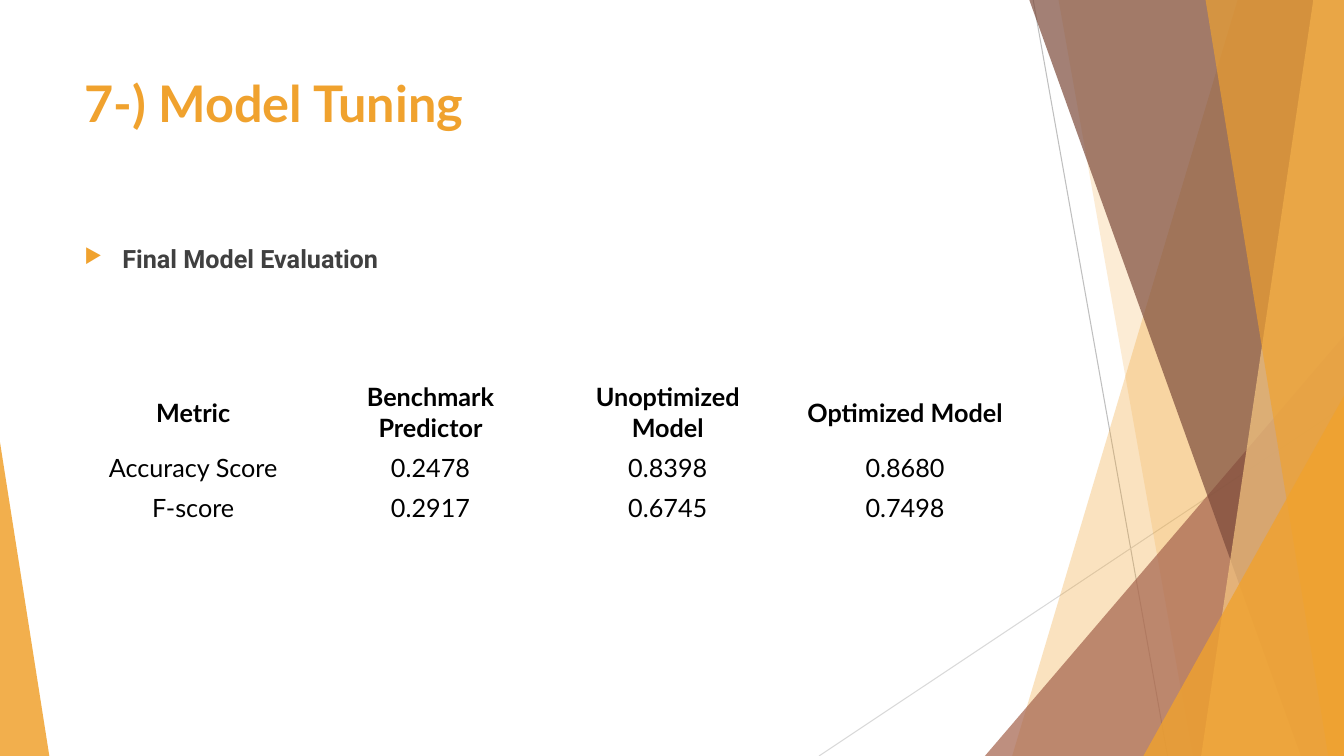
import pptx
import pptx.dml.color
import pptx.enum.shapes
import pptx.enum.text
import pptx.oxml
import pptx.oxml.ns
import pptx.util

RGBColor = pptx.dml.color.RGBColor
ORANGE = RGBColor(0xF0, 0xA2, 0x2E)
PALE_ORANGE = RGBColor(0xF6, 0xC7, 0x82)
RUST = RGBColor(0xA5, 0x64, 0x4E)
BROWN = RGBColor(0x7C, 0x4B, 0x3B)
GRAY = RGBColor(0xBF, 0xBF, 0xBF)
LIGHT_GRAY = RGBColor(0xD9, 0xD9, 0xD9)
DARK_GRAY = RGBColor(0x40, 0x40, 0x40)
BLACK = RGBColor(0, 0, 0)
WHITE = RGBColor(0xFF, 0xFF, 0xFF)

EMU_PER_PX = 9525
WIDTH, HEIGHT = 1280, 720
MARGIN = 71
COLUMN_WIDTH = 226
HEADER_HEIGHT, ROW_HEIGHT = 67, 38

SCORES = [
    ["Metric", "Benchmark Predictor", "Unoptimized Model", "Optimized Model"],
    ["Accuracy Score", "0.2478", "0.8398", "0.8680"],
    ["F-score", "0.2917", "0.6745", "0.7498"],
]


def px(*lengths):
    return [pptx.util.Emu(length * EMU_PER_PX) for length in lengths]


def add_xml(parent, tag, **attributes):
    element = pptx.oxml.ns.qn(tag)
    child = parent.makeelement(element, attributes)
    parent.append(child)
    return child


def paint(shape, color, opacity):
    shape.shadow.inherit = False
    shape.line.fill.background()
    shape.fill.solid()
    shape.fill.fore_color.rgb = color
    color_element = shape.element.spPr.find(".//" + pptx.oxml.ns.qn("a:srgbClr"))
    add_xml(color_element, "a:alpha", val=str(opacity * 1000))


def add_band(slide, top_x, bottom_x, color, opacity):
    builder = slide.shapes.build_freeform(top_x, -1, scale=EMU_PER_PX)
    builder.add_line_segments([(WIDTH, -1), (WIDTH, HEIGHT), (bottom_x, HEIGHT)])
    paint(builder.convert_to_shape(), color, opacity)


def add_triangle(slide, left, top, width, apex, color, opacity):
    kind = pptx.enum.shapes.MSO_SHAPE.ISOSCELES_TRIANGLE
    shape = slide.shapes.add_shape(kind, *px(left, top, width, HEIGHT - top))
    shape.adjustments[0] = apex
    paint(shape, color, opacity)


def add_hairline(slide, start, end, color):
    kind = pptx.enum.shapes.MSO_CONNECTOR.STRAIGHT
    connector = slide.shapes.add_connector(kind, *px(*start, *end))
    connector.line.color.rgb = color
    connector.line.width = pptx.util.Pt(0.75)
    add_xml(connector.element.spPr, "a:effectLst")


def write(paragraph, text, color, **font_format):
    run = paragraph.add_run()
    run.text = text
    run.font.color.rgb = color
    for name, value in font_format.items():
        setattr(run.font, name, value)


def add_text(slide, top, height, text, color, **font_format):
    box = slide.shapes.add_textbox(*px(MARGIN, top, 4 * COLUMN_WIDTH, height))
    box.text_frame.word_wrap = True
    paragraph = box.text_frame.paragraphs[0]
    write(paragraph, text, color, **font_format)
    return paragraph


def add_bullet(paragraph):
    paragraph.space_before = pptx.util.Pt(10)
    properties = paragraph.element.get_or_add_pPr() if hasattr(paragraph, "element") else paragraph._p.get_or_add_pPr()
    for name, value in {"marL": 36, "indent": -36}.items():
        properties.set(name, str(value * EMU_PER_PX))
    bullet_color = add_xml(properties, "a:buClr")
    add_xml(bullet_color, "a:srgbClr", val=str(ORANGE))
    add_xml(properties, "a:buSzPct", val="80000")
    add_xml(properties, "a:buChar", char="▶")


def add_score_table(slide, top):
    heights = [HEADER_HEIGHT] + [ROW_HEIGHT] * (len(SCORES) - 1)
    columns = len(SCORES[0])
    frame = slide.shapes.add_table(
        len(SCORES), columns, *px(MARGIN, top, columns * COLUMN_WIDTH, sum(heights))
    )
    table = frame.table
    table.first_row = table.horz_banding = False
    for row, height in zip(table.rows, heights):
        row.height = px(height)[0]
    for row_index, texts in enumerate(SCORES):
        for column_index, text in enumerate(texts):
            cell = table.cell(row_index, column_index)
            cell.fill.solid()
            cell.fill.fore_color.rgb = WHITE
            cell.vertical_anchor = pptx.enum.text.MSO_ANCHOR.MIDDLE
            paragraph = cell.text_frame.paragraphs[0]
            paragraph.alignment = pptx.enum.text.PP_ALIGN.CENTER
            write(paragraph, text, BLACK, name="Lato", size=pptx.util.Pt(18), bold=row_index == 0)


def add_decoration(slide):
    add_hairline(slide, (984, 0), (1112, HEIGHT), GRAY)
    add_hairline(slide, (WIDTH, 387), (780, HEIGHT), LIGHT_GRAY)
    add_band(slide, 1179, 964, ORANGE, 30)
    add_band(slide, 1008, 1136, ORANGE, 20)
    add_triangle(slide, 938, 320, 342, 1, RUST, 72)
    add_band(slide, 980, 1239, BROWN, 70)
    add_band(slide, 1251, 1144, PALE_ORANGE, 70)
    add_band(slide, 1148, 1265, ORANGE, 65)
    add_triangle(slide, 1089, 377, 191, 1, ORANGE, 80)
    add_triangle(slide, 0, 421, 47, 0, ORANGE, 85)


def main():
    presentation = pptx.Presentation()
    presentation.slide_width, presentation.slide_height = px(WIDTH, HEIGHT)
    slide = presentation.slides.add_slide(presentation.slide_layouts[6])
    add_decoration(slide)
    add_text(slide, 64, 138, "7-) Model Tuning", ORANGE,
             name="Lato", size=pptx.util.Pt(36), bold=True)
    heading = add_text(slide, 227, 407, "Final Model Evaluation", DARK_GRAY,
                       name="Roboto", size=pptx.util.Pt(18), bold=True)
    add_bullet(heading)
    add_score_table(slide, 359)
    presentation.save("out.pptx")


if __name__ == "__main__":
    main()
